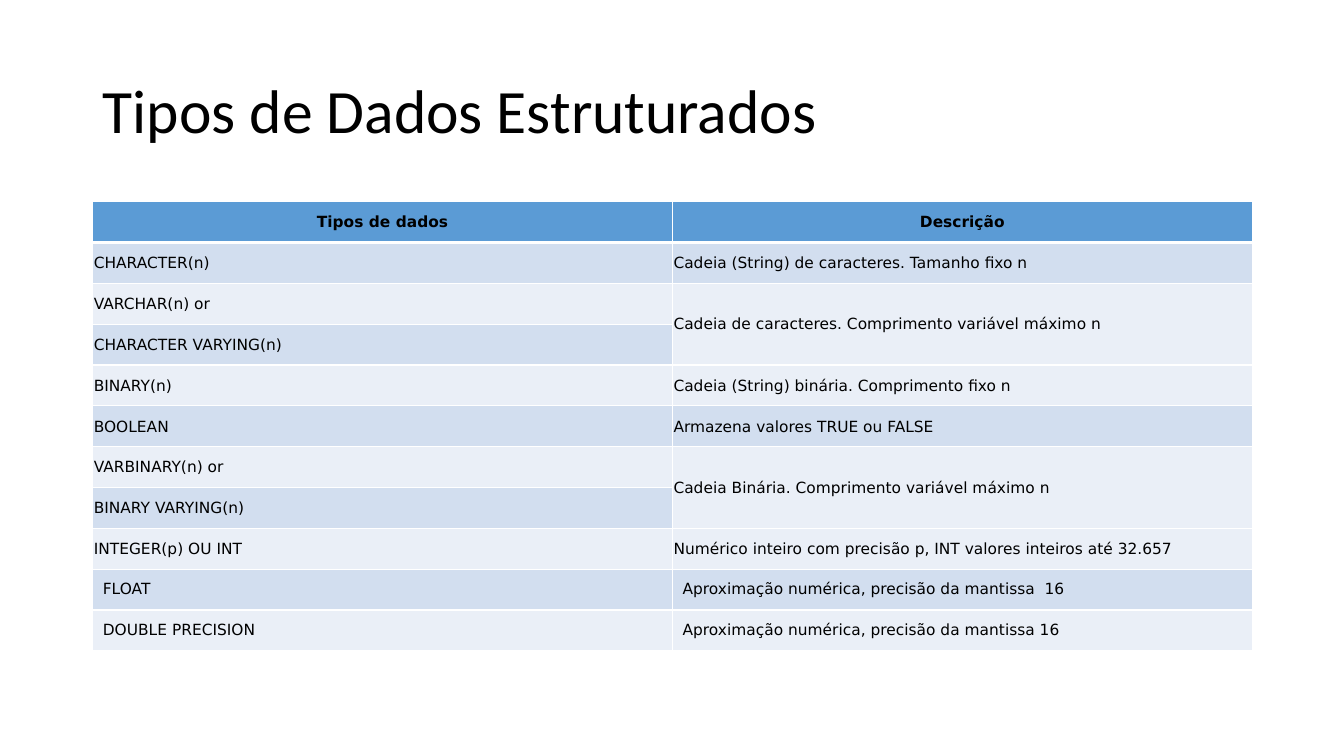
from lxml import etree
from pptx import Presentation, util as u
from pptx.dml import color
from pptx.enum import text
from pptx.oxml import ns

COLORS = {"text": "000000", "header": "5B9BD5", "odd": "D2DEEF", "even": "EAEFF7", "border": "FFFFFF"}
TITLE = "Tipos de Dados Estruturados"
HEADER = ("Tipos de dados", "Descrição")
DATA_TYPES = [
    ("CHARACTER(n)", "Cadeia (String) de caracteres. Tamanho fixo n"),
    ("VARCHAR(n) or", "Cadeia de caracteres. Comprimento variável máximo n"),
    ("CHARACTER VARYING(n)", None),
    ("BINARY(n)", "Cadeia (String) binária. Comprimento fixo n"),
    ("BOOLEAN", "Armazena valores TRUE ou FALSE"),
    ("VARBINARY(n) or", "Cadeia Binária. Comprimento variável máximo n"),
    ("BINARY VARYING(n)", None),
    ("INTEGER(p) OU INT", "Numérico inteiro com precisão p, INT valores inteiros até 32.657"),
    ("FLOAT", "Aproximação numérica, precisão da mantissa  16"),
    ("DOUBLE PRECISION", "Aproximação numérica, precisão da mantissa 16"),
]
INDENTED_TYPES = ("FLOAT", "DOUBLE PRECISION")
TIGHT_MARGINS = {
    "margin_left": u.Inches(0.01),
    "margin_right": u.Inches(0.01),
    "margin_top": u.Inches(0.01),
    "margin_bottom": 0,
}


def apply_format(target, values):
    for name, value in values.items():
        setattr(target, name, value)


class TypesSlide:
    title_font = {"name": "Calibri", "size": u.Pt(44), "bold": False}
    cell_font = {"name": "DejaVu Sans", "size": u.Pt(11)}
    left, width = 0.92, 11.5

    def __init__(self, presentation):
        self.slide = presentation.slides.add_slide(presentation.slide_layouts[5])

    def set_text(self, frame, content, font, paragraph_format):
        frame.text = content
        paragraph = frame.paragraphs[0]
        apply_format(paragraph, paragraph_format)
        run_font = paragraph.runs[0].font
        apply_format(run_font, font)
        run_font.color.rgb = color.RGBColor.from_string(COLORS["text"])

    def title(self, content, top, height):
        shape = self.slide.shapes.title
        box = dict(left=self.left, top=top, width=self.width, height=height)
        apply_format(shape, {name: u.Inches(value) for name, value in box.items()})
        shape.text_frame.vertical_anchor = text.MSO_ANCHOR.MIDDLE
        self.set_text(shape.text_frame, content, self.title_font,
                      {"alignment": text.PP_ALIGN.LEFT, "line_spacing": 0.9})

    def borders(self, cell, widths):
        properties = cell._tc.get_or_add_tcPr()
        for side, width in widths.items():
            line = etree.SubElement(properties, ns.qn(f"a:ln{side}"), w=str(u.Pt(width)))
            fill = etree.SubElement(line, ns.qn("a:solidFill"))
            etree.SubElement(fill, ns.qn("a:srgbClr"), val=COLORS["border"])

    def cell(self, cell, row, content, indented):
        is_header = row == 0
        self.borders(cell, {"L": 1, "R": 1, "T": 3 if row == 1 else 1, "B": 3 if is_header else 1})
        cell.fill.solid()
        shade = "header" if is_header else "odd" if row % 2 else "even"
        cell.fill.fore_color.rgb = color.RGBColor.from_string(COLORS[shade])
        cell.vertical_anchor = text.MSO_ANCHOR.MIDDLE
        if not indented:
            apply_format(cell, TIGHT_MARGINS)
        if content:
            alignment = text.PP_ALIGN.CENTER if is_header else text.PP_ALIGN.LEFT
            self.set_text(cell.text_frame, content, {**self.cell_font, "bold": is_header},
                          {"alignment": alignment})

    def table(self, rows, top, height):
        box = [u.Inches(value) for value in (self.left, top, self.width, height)]
        table = self.slide.shapes.add_table(len(rows), len(rows[0]), *box).table
        table.horz_banding = False
        for row, contents in enumerate(rows):
            for column, content in enumerate(contents):
                self.cell(table.cell(row, column), row, content, contents[0] in INDENTED_TYPES)
                if content is None:
                    table.cell(row - 1, column).merge(table.cell(row, column))


def main():
    presentation = Presentation()
    apply_format(presentation, {"slide_width": u.Inches(13.33), "slide_height": u.Inches(7.5)})
    slide = TypesSlide(presentation)
    slide.title(TITLE, top=0.4, height=1.45)
    slide.table([HEADER, *DATA_TYPES], top=2, height=4.46)
    presentation.save("out.pptx")


if __name__ == "__main__":
    main()
